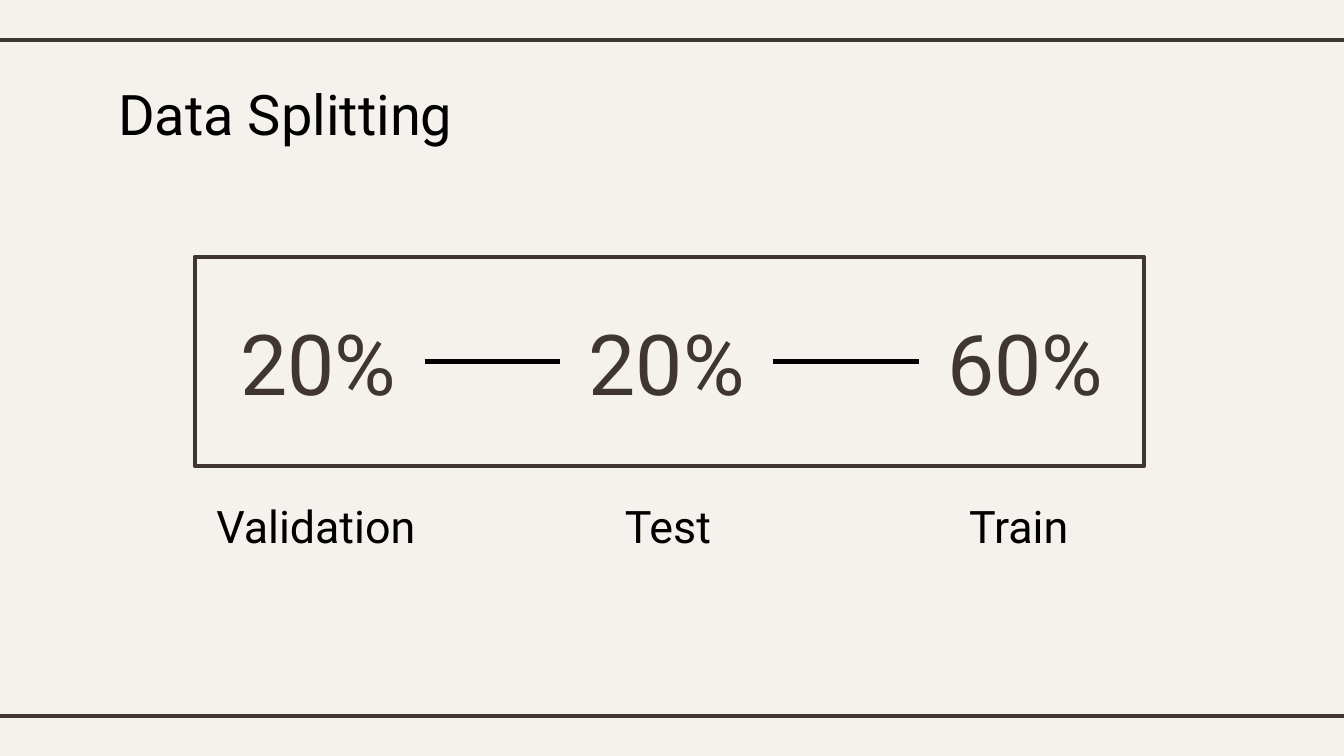
from itertools import pairwise

from lxml import etree
from pptx import Presentation
from pptx import util as u
from pptx.dml.color import RGBColor
from pptx.enum import shapes, text
from pptx.oxml.ns import qn

WIDTH = 10
HEIGHT = WIDTH * 9 / 16
COLORS = {"paper": "F5F2EE", "brown": "3F3533", "black": "000000"}
FONT = "Roboto"
LINE_WIDTH = 2.25
BLEED = 0.08
RULES = (0.3, 5.33)

# Share, its centre, label, its centre
SPLITS = [
    ("20%", 2.37, "Validation", 2.35),
    ("20%", 4.96, "Test", 4.97),
    ("60%", 7.63, "Train", 7.58),
]
FRAME = (1.45, 1.91, 7.06, 1.56)
SHARE_SIZE = (1.58, 0.93)
LABEL_SIZE = (1.8, 0.39)
SHARE_MIDDLE = FRAME[1] + FRAME[3] / 2
LABEL_MIDDLE = 3.91


def rgb(name):
    return RGBColor.from_string(COLORS[name])


def inches(*lengths):
    return [u.Inches(length) for length in lengths]


def centred(x, y, size):
    width, height = size
    return x - width / 2, y - height / 2, width, height


def place(shape, bounds):
    for name, value in zip(("left", "top", "width", "height"), inches(*bounds)):
        setattr(shape, name, value)


def write(shape, words, size, color="black", align="CENTER", anchor="MIDDLE"):
    frame = shape.text_frame
    settings = {
        "word_wrap": True,
        "auto_size": text.MSO_AUTO_SIZE.NONE,
        "vertical_anchor": text.MSO_ANCHOR[anchor],
    }
    settings.update({f"margin_{side}": u.Inches(0.1)
                     for side in ("left", "top", "right", "bottom")})
    for name, value in settings.items():
        setattr(frame, name, value)
    para = frame.paragraphs[0]
    para.alignment = text.PP_ALIGN[align]
    para.space_before = u.Pt(0)
    span = para.add_run()
    span.text = words
    for name, value in {"name": FONT, "size": u.Pt(size), "bold": False}.items():
        setattr(span.font, name, value)
    span.font.color.rgb = rgb(color)
    return para


def remove_bullet(para):
    properties = para._p.get_or_add_pPr()
    properties.set("marL", "0")
    properties.set("indent", "0")
    etree.SubElement(properties, qn("a:buNone"))


def style_line(line, color):
    line.color.rgb = rgb(color)
    line.width = u.Pt(LINE_WIDTH)


def add_line(parent, start, end, color):
    line = parent.shapes.add_connector(
        shapes.MSO_CONNECTOR.STRAIGHT, *inches(*start, *end))
    style_line(line.line, color)
    etree.SubElement(line._element.spPr, qn("a:effectLst"))
    return line


def add_frame(parent):
    frame = parent.shapes.add_shape(shapes.MSO_SHAPE.RECTANGLE, *inches(*FRAME))
    frame.shadow.inherit = False
    frame.fill.background()
    style_line(frame.line, "brown")
    etree.SubElement(frame.line._get_or_add_ln(), qn("a:round"))


def add_share(parent, words, x):
    box = parent.shapes.add_textbox(*inches(*centred(x, SHARE_MIDDLE, SHARE_SIZE)))
    write(box, words, 45, "brown")
    return box


def add_diagram(page):
    """Frame the shares and join each one to the next."""
    group = page.shapes.add_group_shape()
    add_frame(group)
    boxes = [add_share(group, share, x) for share, x, _, _ in SPLITS]
    for left, right in pairwise(boxes):
        link = add_line(group, (0, 0), (1, 0), "black")
        link.begin_connect(left, 3)
        link.end_connect(right, 1)


def fill_placeholders(page):
    title, *bodies = page.placeholders
    place(title, (0.78, 0.49, 3.49, 0.63))
    write(title, "Data Splitting", 30, align="LEFT", anchor="TOP")
    for body, (_, _, label, x) in zip(bodies, SPLITS):
        place(body, centred(x, LABEL_MIDDLE, LABEL_SIZE))
        remove_bullet(write(body, label, 24))
    for spare in bodies[len(SPLITS):]:
        spare._element.getparent().remove(spare._element)


def main():
    deck = Presentation()
    deck.slide_width, deck.slide_height = inches(WIDTH, HEIGHT)
    page = deck.slides.add_slide(deck.slide_layouts.get_by_name("Comparison"))
    page.background.fill.solid()
    page.background.fill.fore_color.rgb = rgb("paper")
    for y in RULES:
        add_line(page, (-BLEED, y), (WIDTH + BLEED, y), "brown")
    fill_placeholders(page)
    add_diagram(page)
    deck.save("out.pptx")


if __name__ == "__main__":
    main()
